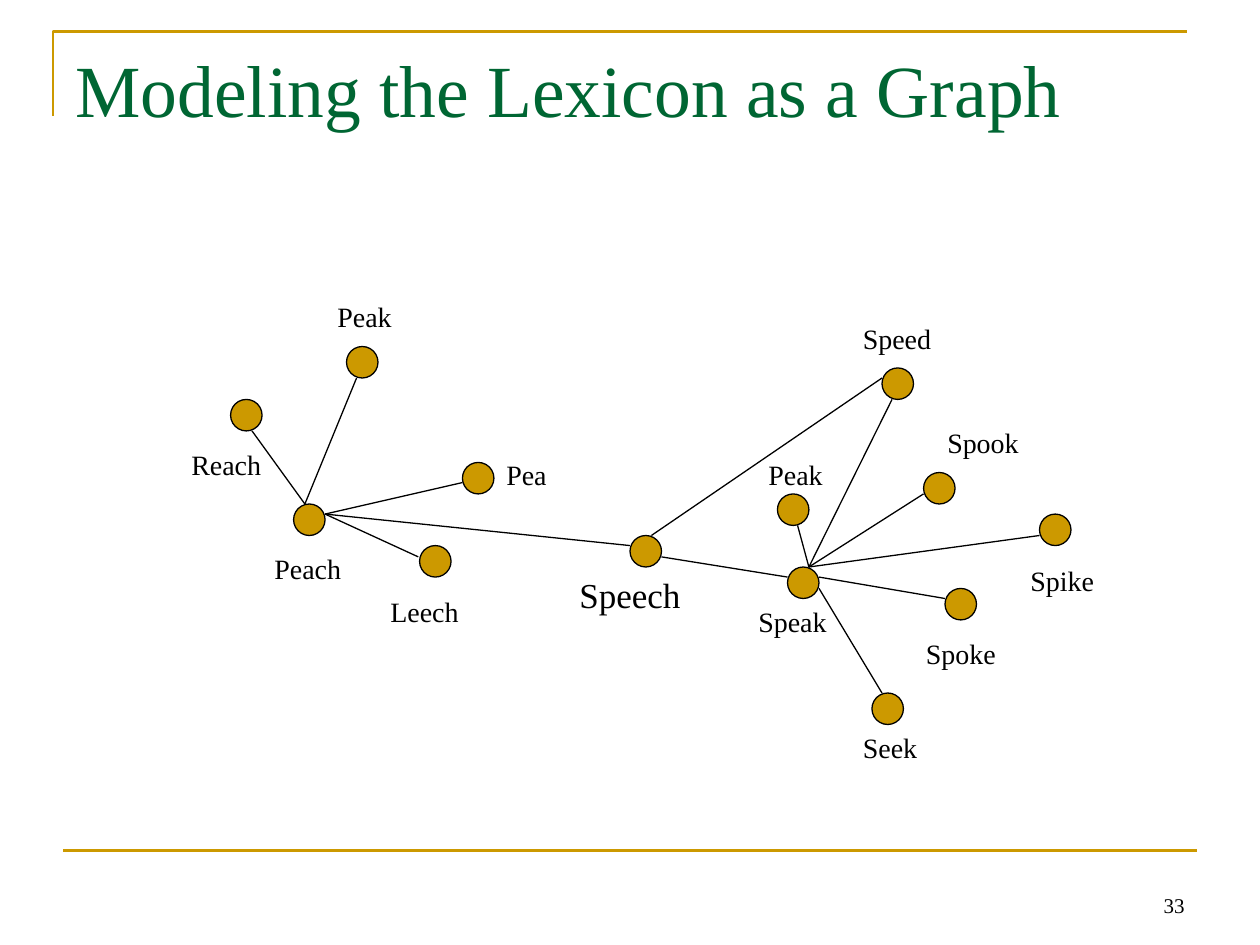
import pptx
import pptx.util
import pptx.dml.color
import pptx.enum.shapes
import pptx.enum.text
import pptx.oxml.ns
from lxml import etree

Inches = pptx.util.Inches
Pt = pptx.util.Pt
RGB = pptx.dml.color.RGBColor
PP_ALIGN = pptx.enum.text.PP_ALIGN
ANCHOR = pptx.enum.text.MSO_ANCHOR

GOLD = RGB(0xCC, 0x99, 0x00)
GREEN = RGB(0x00, 0x66, 0x33)
BLACK = RGB(0, 0, 0)
FONT = "Times New Roman"
NODE = 0.25
LABEL_H = 0.37

TITLE = "Modeling the Lexicon as a Graph"
PAGE = "33"

WORDS = [
    ("Leech", (3.33, 4.33), (3, 4.67, 1.18)),
    ("Peach", (2.33, 4), (2.08, 4.33, 0.92)),
    ("Pea", (3.67, 3.67), (3.92, 3.58, 0.67)),
    ("Peak", (2.75, 2.75), (2.58, 2.33, 0.67)),
    ("Reach", (1.83, 3.17), (1.42, 3.5, 0.83)),
    ("Speak", (6.25, 4.5), (5.92, 4.75, 1.08)),
    ("Speed", (7, 2.92), (6.75, 2.5, 1)),
    ("Peak", (6.17, 3.92), (6, 3.58, 0.67)),
    ("Spook", (7.33, 3.75), (7.42, 3.33, 1)),
    ("Spike", (8.25, 4.08), (8.08, 4.42, 1.17)),
    ("Spoke", (7.5, 4.67), (7.25, 5, 1.25)),
    ("Seek", (6.92, 5.5), (6.75, 5.75, 0.75)),
]
HUB = ("Speech", (5, 4.25), (4.5, 4.5, 1.17, 0.44))

EDGES = [
    ((2.58, 4.08), [(3.32, 4.42), (5, 4.33), (3.67, 3.83)]),
    ((2.42, 4), [(2, 3.42), (2.83, 3)]),
    ((5.25, 4.42), [(6.25, 4.58)]),
    ((6.42, 4.5), [(6.33, 4.17), (7.08, 3.17), (7.33, 3.92), (8.25, 4.25)]),
    ((6.5, 4.58), [(7.5, 4.75)]),
    ((6.5, 4.67), [(7, 5.5)]),
    ((5.17, 4.25), [(7, 3)]),
]
FRAME = [(0.42, 0.92), (0.42, 0.25), (9.42, 0.25)]
RULE = ((0.5, 6.75), (9.5, 6.75))


def inches(values):
    return [Inches(v) for v in values]


def set_line(sp, color, width):
    sp.line.color.rgb = color
    sp.line.width = Pt(width)


def add_text(s, text, box, size, color=BLACK, align=PP_ALIGN.LEFT, anchor=ANCHOR.TOP):
    tf = s.shapes.add_textbox(*inches(box)).text_frame
    for name, value in {"word_wrap": True, "vertical_anchor": anchor}.items():
        setattr(tf, name, value)
    p = tf.paragraphs[0]
    p.alignment = align
    r = p.add_run()
    r.text = text
    for name, value in {"name": FONT, "size": Pt(size)}.items():
        setattr(r.font, name, value)
    r.font.color.rgb = color


def add_line(s, start, end, color=BLACK, width=0.75):
    line = s.shapes.add_connector(
        pptx.enum.shapes.MSO_CONNECTOR.STRAIGHT, *inches(start + end))
    set_line(line, color, width)
    etree.SubElement(line._element.spPr, pptx.oxml.ns.qn("a:effectLst"))


def add_node(s, at):
    sp = s.shapes.add_shape(
        pptx.enum.shapes.MSO_SHAPE.OVAL, *inches(at + (NODE, NODE)))
    sp.shadow.inherit = False
    sp.fill.solid()
    sp.fill.fore_color.rgb = GOLD
    set_line(sp, BLACK, 0.75)


def add_frame(s):
    points = [inches(pt) for pt in FRAME]
    fb = s.shapes.build_freeform(*points[0])
    fb.add_line_segments(points[1:], close=False)
    sp = fb.convert_to_shape()
    sp.shadow.inherit = False
    sp.fill.background()
    set_line(sp, GOLD, 1.5)


def main():
    prs = pptx.Presentation()
    prs.slide_width, prs.slide_height = inches((10, 7.5))
    s = prs.slides.add_slide(prs.slide_layouts[6])
    add_frame(s)
    add_line(s, *RULE, GOLD, 1.5)
    add_text(s, TITLE, (0.5, 0.3, 9, 1.25), 42, GREEN)
    for word, at, label in WORDS:
        add_node(s, at)
        add_text(s, word, label + (LABEL_H,), 16)
    word, at, label = HUB
    add_node(s, at)
    add_text(s, word, label, 20)
    for start, ends in EDGES:
        for end in ends:
            add_line(s, start, end)
    add_text(s, PAGE, (7.17, 6.83, 2.33, 0.5), 12,
             align=PP_ALIGN.RIGHT, anchor=ANCHOR.BOTTOM)
    prs.save("out.pptx")


if __name__ == "__main__":
    main()
